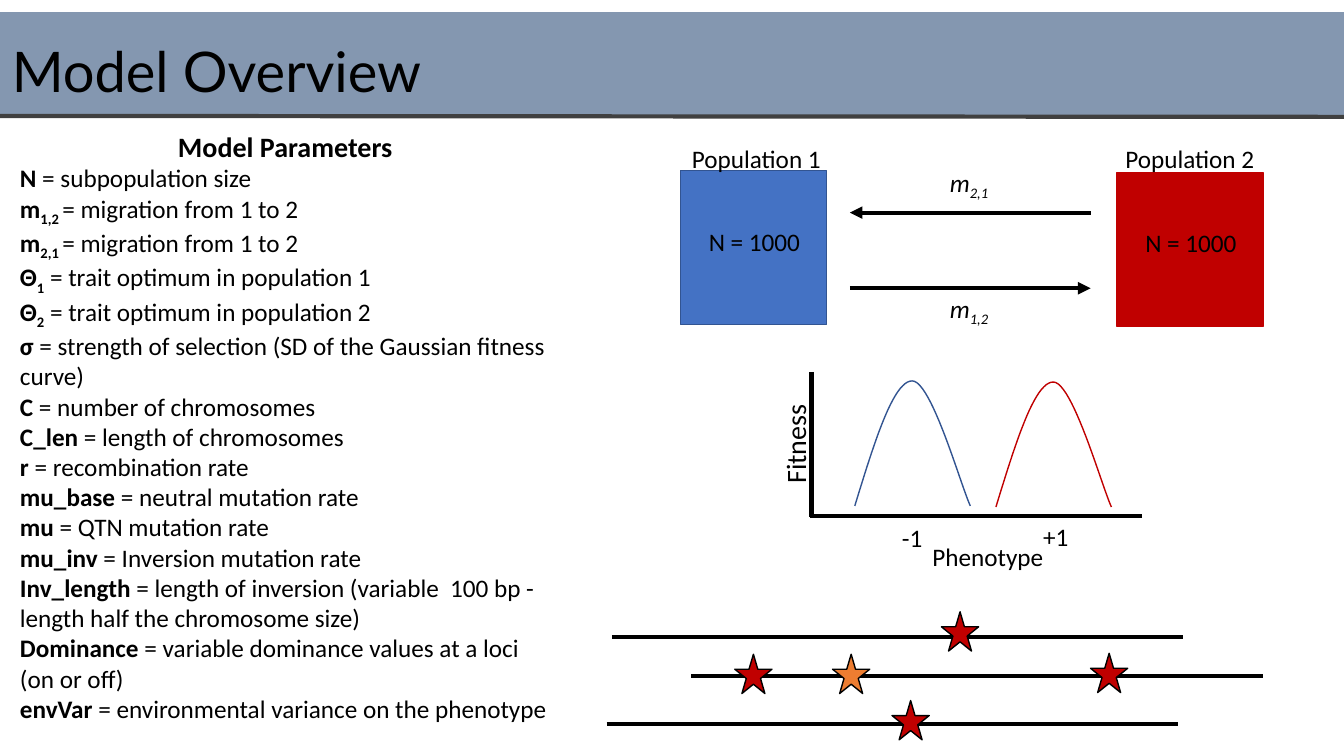
from dataclasses import dataclass

import pptx
import pptx.dml.color
import pptx.enum.shapes
import pptx.enum.text
import pptx.oxml.ns
import pptx.util
from lxml import etree

Pt = pptx.util.Pt
Kind = pptx.enum.shapes.MSO_SHAPE
Align = pptx.enum.text.PP_ALIGN
qn = pptx.oxml.ns.qn

BLACK, RED, BLUE, NAVY = "000000", "C00000", "4472C4", "325491"
ORANGE, SLATE, GREY = "ED7D31", "8497B0", "404040"


@dataclass
class Piece:
    text: str
    bold: bool = False
    slant: bool = False
    sub: bool = False


@dataclass
class Label:
    pieces: list[Piece]
    left: float
    top: float
    width: float
    height: float = 29
    size: float = 18
    align: Align = Align.CENTER
    turn: float = 0


@dataclass
class Line:
    x1: float
    y1: float
    x2: float
    y2: float
    color: str = BLACK
    arrow: bool = False


@dataclass
class Block:
    kind: Kind
    left: float
    top: float
    width: float
    height: float
    fill: str
    edge: str = ""


def rgb(code: str) -> pptx.dml.color.RGBColor:
    return pptx.dml.color.RGBColor.from_string(code)


def write(para, pieces: list[Piece], size: float, face: str = "Calibri") -> None:
    for piece in pieces:
        run = para.add_run()
        run.text = piece.text
        font = run.font
        font.size, font.name = Pt(size), face
        font.bold, font.italic = piece.bold, piece.slant
        font.color.rgb = rgb(BLACK)
        if piece.sub:
            run._r.get_or_add_rPr().set("baseline", "-25000")


def add_box(slide, left: float, top: float, width: float, height: float):
    box = slide.shapes.add_textbox(Pt(left), Pt(top), Pt(width), Pt(height))
    box.text_frame.word_wrap = True
    return box


def add_label(slide, label: Label) -> None:
    box = add_box(slide, label.left, label.top, label.width, label.height)
    box.rotation = label.turn
    para = box.text_frame.paragraphs[0]
    para.alignment = label.align
    write(para, label.pieces, label.size)


def add_line(slide, line: Line) -> None:
    item = slide.shapes.add_connector(
        pptx.enum.shapes.MSO_CONNECTOR.STRAIGHT,
        Pt(line.x1), Pt(line.y1), Pt(line.x2), Pt(line.y2))
    item.line.width = Pt(3)
    item.line.color.rgb = rgb(line.color)
    if line.arrow:
        etree.SubElement(item.line._get_or_add_ln(), qn("a:tailEnd"), type="triangle")
    etree.SubElement(item._element.spPr, qn("a:effectLst"))


def add_block(slide, block: Block) -> None:
    shape = slide.shapes.add_shape(
        block.kind, Pt(block.left), Pt(block.top), Pt(block.width), Pt(block.height))
    shape.shadow.inherit = False
    shape.fill.solid()
    shape.fill.fore_color.rgb = rgb(block.fill)
    if block.edge:
        shape.line.color.rgb = rgb(block.edge)
        shape.line.width = Pt(1)
    else:
        shape.line.fill.background()


def bezier(knots: list[tuple[float, float]], steps: int = 24) -> list[tuple[float, float]]:
    """Sample a cubic curve, leaving out its first point."""
    points = []
    for step in range(1, steps + 1):
        t = step / steps
        mix = ((1 - t) ** 3, 3 * t * (1 - t) ** 2, 3 * t * t * (1 - t), t ** 3)
        points.append((sum(m * x for m, (x, _) in zip(mix, knots)),
                       sum(m * y for m, (_, y) in zip(mix, knots))))
    return points


def add_curve(slide, left: float, base: float, color: str) -> None:
    """Draw one fitness peak rising from (left, base)."""
    peak = (41, -89.3)
    rise = [(0, 0), (13.7, -44.6), (27.4, -89.3), peak]
    fall = [peak, (54.7, -89.3), (75.6, -15.1), (82.5, 0)]
    pen = slide.shapes.build_freeform(Pt(left), Pt(base))
    pen.add_line_segments(
        [(Pt(left + x), Pt(base + y)) for x, y in bezier(rise) + bezier(fall)],
        close=False)
    shape = pen.convert_to_shape()
    shape.shadow.inherit = False
    shape.fill.background()
    shape.line.color.rgb = rgb(color)
    shape.line.width = Pt(1)


def add_title(slide) -> None:
    frame = add_box(slide, 1.4, 0.7, 872, 104.4).text_frame
    frame.vertical_anchor = pptx.enum.text.MSO_ANCHOR.MIDDLE
    frame.paragraphs[0].line_spacing = 0.9
    write(frame.paragraphs[0], [Piece("Model Overview")], 40, "Lato")


# Symbol, subscript, meaning
TERMS = [
    ("N", "", " = subpopulation size"),
    ("m", "1,2 ", "= migration from 1 to 2"),
    ("m", "2,1 ", "= migration from 1 to 2"),
    ("Θ", "1", " = trait optimum in population 1"),
    ("Θ", "2", " = trait optimum in population 2"),
    ("σ", "", " = strength of selection (SD of the Gaussian fitness curve)"),
    ("C", "", " = number of chromosomes"),
    ("C_len", "", " = length of chromosomes"),
    ("r", "", " = recombination rate"),
    ("mu_base", "", " = neutral mutation rate"),
    ("mu", "", " = QTN mutation rate"),
    ("mu_inv", "", " = Inversion mutation rate"),
    ("Inv_length", "", " = length of inversion (variable  100 bp - "
     "length half the chromosome size)"),
    ("Dominance", "", " = variable dominance values at a loci (on or off)"),
    ("envVar", "", " = environmental variance on the phenotype"),
]


def add_terms(slide) -> None:
    frame = add_box(slide, 7.2, 88.6, 393.1, 445).text_frame
    head = frame.paragraphs[0]
    head.alignment = Align.CENTER
    write(head, [Piece("Model Parameters", bold=True)], 20)
    for sign, sub, text in TERMS:
        pieces = [Piece(sign, bold=True), Piece(sub, bold=True, sub=True), Piece(text)]
        write(frame.add_paragraph(), [p for p in pieces if p.text], 18)


def rate(sub: str) -> list[Piece]:
    return [Piece("m", slant=True), Piece(sub, slant=True, sub=True)]


SIZE = [Piece("N = 1000")]
LABELS = [
    Label(rate("2,1 "), 620, 115.9, 146.9),
    Label(rate("1,2 "), 620, 205.9, 146.9),
    Label(SIZE, 483.1, 158.4, 111.6),
    Label(SIZE, 794.9, 159.1, 111.6),
    Label([Piece("Population 1")], 473, 98.6, 134.6),
    Label([Piece("Population 2")], 782.6, 98.6, 134.6),
    Label([Piece("-1")], 637.2, 369.4, 33.1, 22.3, align=Align.LEFT),
    Label([Piece("+1")], 738, 368.6, 33.1, 22.3, align=Align.LEFT),
    Label([Piece("Phenotype")], 648.7, 383, 113.8, 22.3),
    Label([Piece("Fitness")], 506.9, 305.3, 114.5, 23.8, size=20, turn=270),
]
ARROWS = [Line(607, 205.9, 779, 205.9, arrow=True),
          Line(779, 151.9, 607, 151.9, arrow=True)]
AXES = [Line(579.6, 265.7, 579.6, 369.4), Line(815.8, 368.6, 578.9, 368.6)]
GENES = [Line(x, y, x + 408.3, y) for x, y in [(437, 455), (493.9, 483.1), (433.4, 517)]]
POPS = [Block(Kind.RECTANGLE, 486, 121.7, 104.4, 110.2, BLUE, NAVY),
        Block(Kind.RECTANGLE, 797.8, 123.1, 104.4, 110.2, RED, RED)]
STARS = [Block(Kind.STAR_5_POINT, x, y, 26.6, 28.1, fill, BLACK) for x, y, fill in [
    (672.5, 437, RED), (524.9, 467.3, RED), (594.7, 467.3, ORANGE),
    (779, 466.6, RED), (637.2, 500.4, RED)]]


def main() -> None:
    deck = pptx.Presentation()
    deck.slide_width, deck.slide_height = Pt(960), Pt(540)
    slide = deck.slides.add_slide(deck.slide_layouts[6])
    add_block(slide, Block(Kind.RECTANGLE, 0, 8.7, 960, 74.2, SLATE))
    add_line(slide, Line(0, 82.8, 960, 83.5, GREY))
    add_title(slide)
    add_terms(slide)
    for line in ARROWS + AXES + GENES:
        add_line(slide, line)
    for block in POPS + STARS:
        add_block(slide, block)
    add_curve(slide, 610.6, 361.4, NAVY)
    add_curve(slide, 711.4, 362.2, RED)
    for label in LABELS:
        add_label(slide, label)
    deck.save("out.pptx")


if __name__ == "__main__":
    main()
